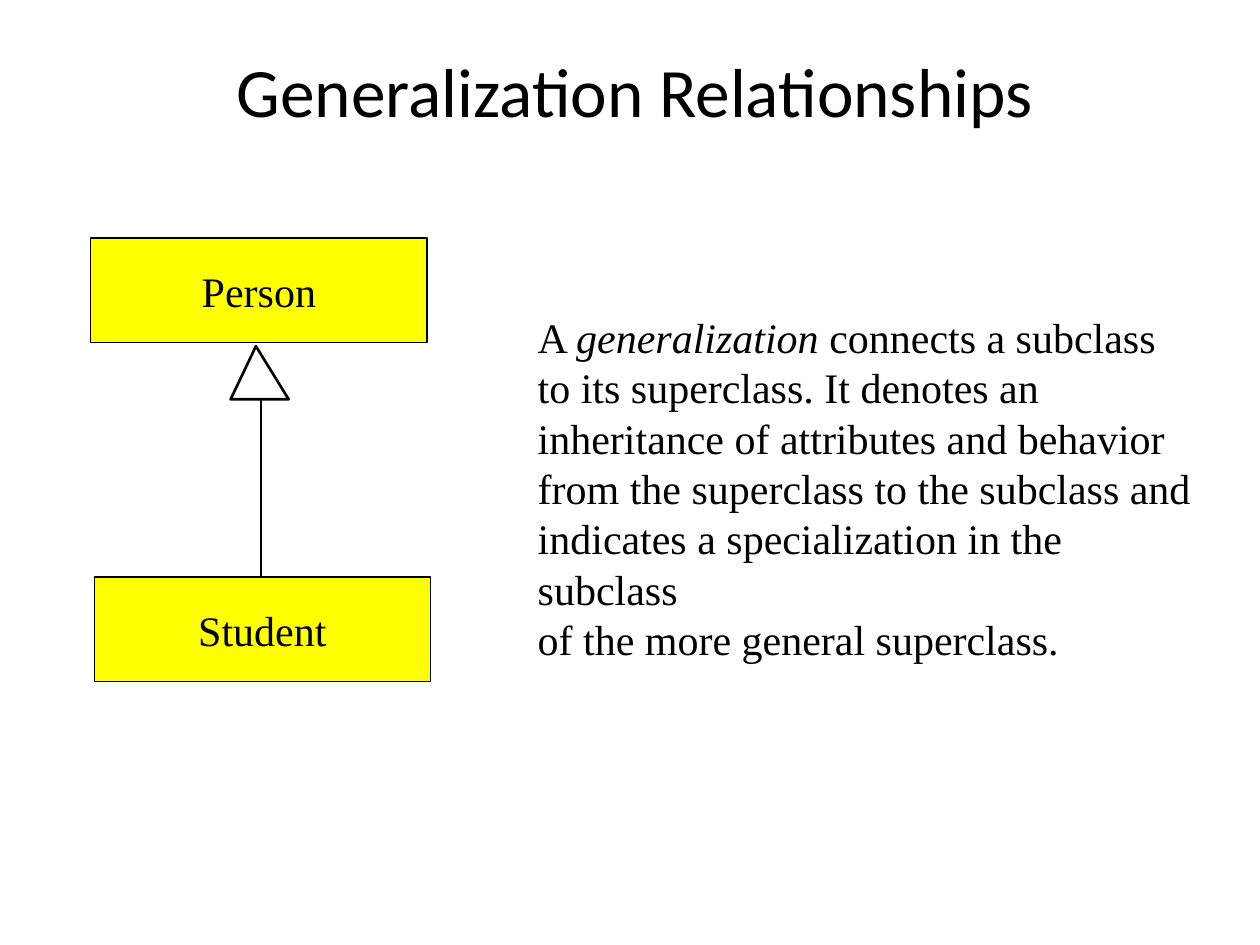
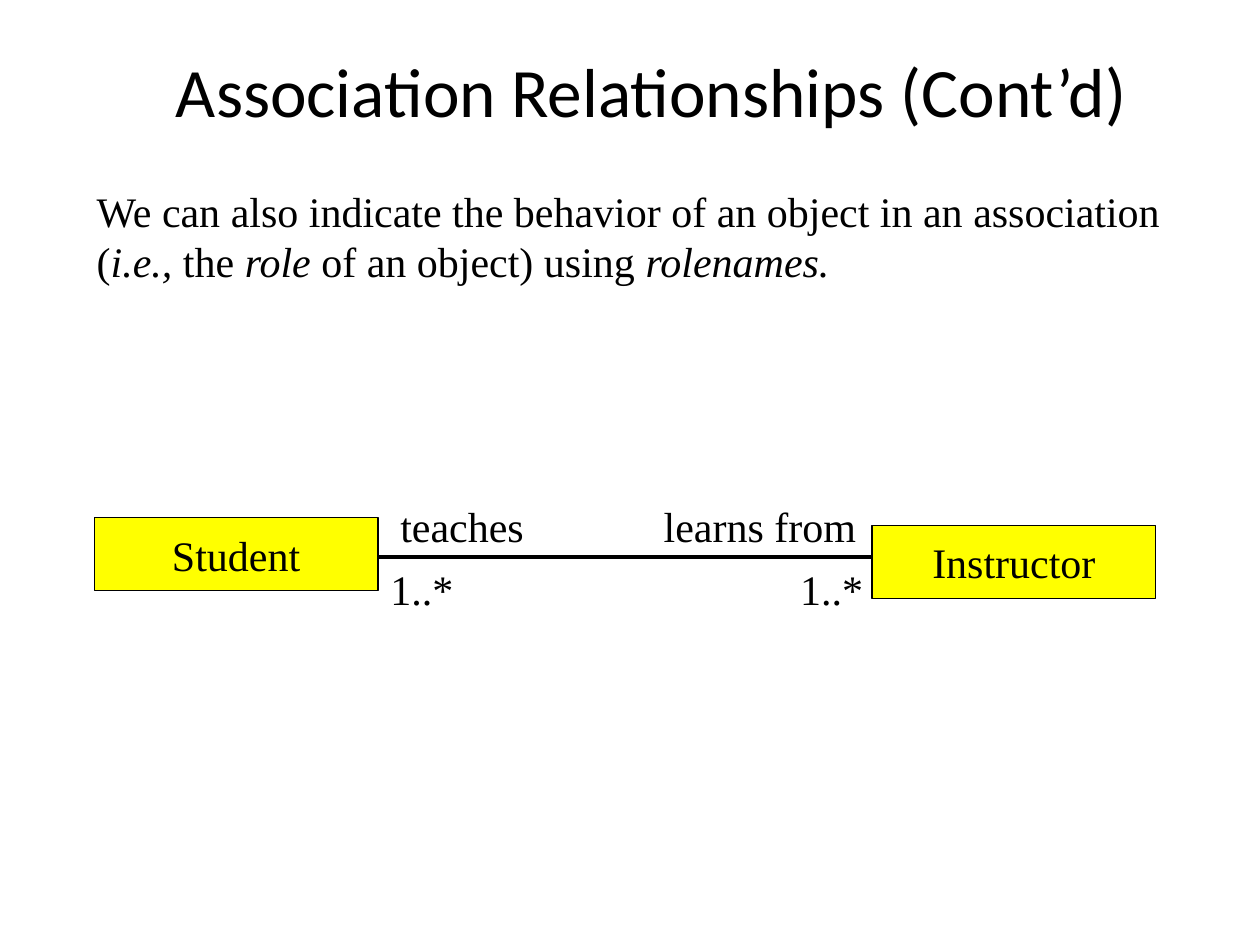
from lxml.etree import SubElement
from pptx import Presentation
from pptx.dml.color import RGBColor
from pptx.enum.shapes import MSO_CONNECTOR, MSO_SHAPE
from pptx.enum.text import MSO_ANCHOR, PP_ALIGN
from pptx.oxml.ns import qn
from pptx.util import Cm, Pt

COLOURS = {"ink": "000000", "class": "FFFF00", "paper": "FFFFFF"}


class DiagramDeck:
    """Holds the shared style and the current slide of a class diagram deck."""

    title_font, title_size = "Calibri", 39.6
    body_font, body_size = "Times New Roman", 24

    def __init__(self):
        self.deck = Presentation()
        self.deck.slide_width, self.deck.slide_height = Cm(25.4), Cm(19.05)
        self.page = None

    def colour(self, name):
        return RGBColor.from_string(COLOURS[name])

    def style(self, span, font, size):
        span.font.name = font
        span.font.size = Pt(size)
        span.font.color.rgb = self.colour("ink")

    def outline(self, shape, fill, width):
        shape.shadow.inherit = False
        shape.fill.solid()
        shape.fill.fore_color.rgb = self.colour(fill)
        shape.line.color.rgb = self.colour("ink")
        shape.line.width = Pt(width)

    def centre(self, box, text, font, size):
        frame = box.text_frame
        frame.text = text
        frame.word_wrap = True
        frame.vertical_anchor = MSO_ANCHOR.MIDDLE
        para = frame.paragraphs[0]
        para.alignment = PP_ALIGN.CENTER
        self.style(para.runs[0], font, size)

    def add_page(self, title, left, width):
        self.page = self.deck.slides.add_slide(self.deck.slide_layouts[6])
        box = self.page.shapes.add_textbox(Cm(left), Cm(1.07), Cm(width), Cm(1.47))
        self.centre(box, title, self.title_font, self.title_size)

    def add_class(self, name, left, top, width, height):
        box = self.page.shapes.add_shape(
            MSO_SHAPE.RECTANGLE, Cm(left), Cm(top), Cm(width), Cm(height))
        self.outline(box, "class", 0.75)
        self.centre(box, name, self.body_font, self.body_size)

    def add_text(self, lines, left, top, width, height):
        """Write one paragraph a line; parts between underscores are italic."""
        box = self.page.shapes.add_textbox(Cm(left), Cm(top), Cm(width), Cm(height))
        frame = box.text_frame
        frame.word_wrap = True
        frame.text = "\n".join(line.replace("_", "") for line in lines)
        for para, line in zip(frame.paragraphs, lines):
            first, *rest = line.split("_")
            para.text = first
            for part in rest:
                para.add_run().text = part
            for index, span in enumerate(para.runs):
                self.style(span, self.body_font, self.body_size)
                span.font.italic = index % 2 == 1

    def add_line(self, shapes, start, end, width):
        line = shapes.add_connector(
            MSO_CONNECTOR.STRAIGHT, *(Cm(value) for value in start + end))
        line.line.color.rgb = self.colour("ink")
        line.line.width = Pt(width)
        SubElement(line._element.spPr, qn("a:effectLst"))

    def add_generalization(self, stem, corners):
        """Group a stem with the hollow triangle that points to the superclass."""
        shapes = self.page.shapes.add_group_shape().shapes
        self.add_line(shapes, *stem, 1.5)
        points = [(Cm(x), Cm(y)) for x, y in corners]
        builder = shapes.build_freeform(*points[0])
        builder.add_line_segments(points[1:], close=True)
        self.outline(builder.convert_to_shape(), "paper", 1.5)


def build_generalization(diagram):
    """Build the slide on generalization."""
    diagram.add_page("Generalization Relationships", 1.9, 21.8)
    diagram.add_class("Person", 1.83, 4.8, 6.78, 2.11)
    diagram.add_text([
        "A _generalization_ connects a subclass",
        "to its superclass. It denotes an",
        "inheritance of attributes and behavior",
        "from the superclass to the subclass and",
        "indicates a specialization in the subclass",
        "of the more general superclass.",
    ], 10.59, 6.15, 14.1, 6.35)
    diagram.add_class("Student", 1.9, 11.63, 6.78, 2.11)
    diagram.add_generalization(
        ((5.26, 8.05), (5.26, 11.63)),
        [(5.16, 6.98), (4.65, 8.05), (5.82, 8.05)])


def build_association(diagram):
    """Build the slide on rolenames in an association."""
    axis, label_height = 11.23, 1.27
    diagram.add_page("Association Relationships (Cont’d)", 1.7, 22.86)
    diagram.add_text([
        "We can also indicate the behavior of an object in an association "
        "(_i.e.,_ the _role _of an object) using _rolenames.",
    ], 1.7, 3.61, 22.53, 2.29)
    diagram.add_line(diagram.page.shapes, (7.62, axis), (17.78, axis), 2.25)
    for name, left, top in (("Instructor", 17.58, 10.59), ("Student", 1.9, 10.44)):
        diagram.add_class(name, left, top, 5.72, 1.47)
    for left in (15.88, 7.62):
        diagram.add_text(["1..*"], left, axis, 1.9, label_height)
    for role, left, width in (("learns from", 13.13, 4.45), ("teaches", 7.82, 3.18)):
        diagram.add_text([role], left, axis - label_height, width, label_height)


def main():
    """Build and save the deck."""
    diagram = DiagramDeck()
    build_generalization(diagram)
    build_association(diagram)
    diagram.deck.save("out.pptx")


if __name__ == "__main__":
    main()
